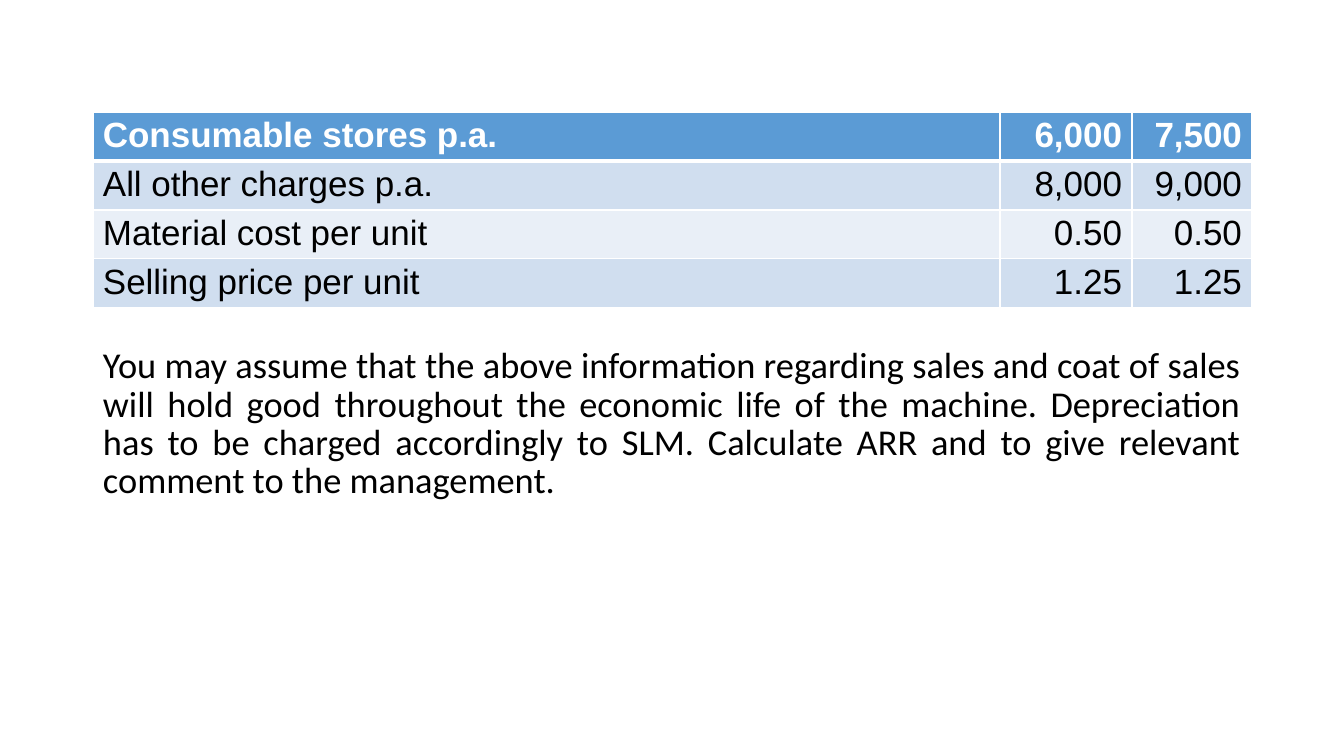
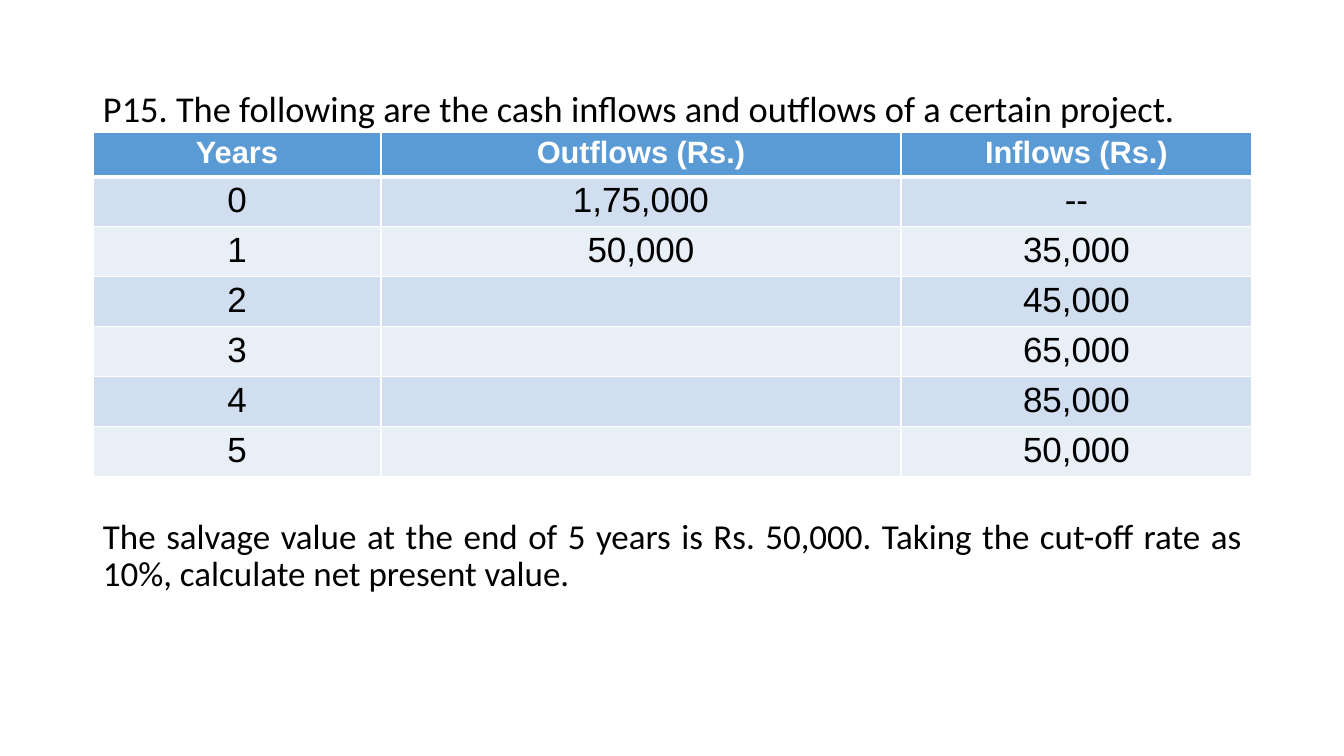
from dataclasses import dataclass

from lxml import etree
from pptx import Presentation, util as u
from pptx.dml.color import RGBColor
from pptx.enum import text as t
from pptx.oxml import ns

WIDE, HIGH = 1344, 756
SCALE = 12192000 / WIDE
LEFT, SPAN = 93, 1159
PAD, THIN = 10, 4
ALIGN = t.PP_ALIGN


@dataclass(frozen=True)
class Theme:
    """Colours, fonts and type sizes of the deck."""
    head: str = "5B9BD5"
    bands: tuple = ("D0DEEF", "E9EFF7")
    rule: str = "FFFFFF"
    light: str = "FFFFFF"
    ink: str = "000000"
    prose: str = "Calibri"
    grid: str = "Arial"
    body: int = 26
    note: int = 25
    cell: int = 25
    label: int = 22
    lead: float = 0.88


LOOK = Theme()


def px(num):
    """Turn pixels into EMU."""
    return u.Emu(round(num * SCALE))


def write(frame, words, size=LOOK.body, font=LOOK.prose, color=LOOK.ink,
          bold=False, align=ALIGN.LEFT, lead=None):
    """Put one formatted paragraph into a text frame."""
    para = frame.paragraphs[0]
    para.alignment = align
    if lead:
        para.line_spacing = lead
    para.font.size = u.Pt(size)
    if words:
        run = para.add_run()
        run.text = words
        run.font.size = u.Pt(size)
        run.font.name = font
        run.font.bold = bold
        run.font.color.rgb = RGBColor.from_string(color)


def prose(slide, box, words, size=LOOK.body):
    """Place a justified passage in a box."""
    frame = slide.shapes.add_textbox(*map(px, box)).text_frame
    frame.word_wrap = True
    frame.margin_left = frame.margin_right = px(PAD)
    frame.margin_top = frame.margin_bottom = px(5)
    write(frame, words, size=size, align=ALIGN.JUSTIFY, lead=LOOK.lead)


def edge(cell, base):
    """Rule the four sides of a cell, with its own base width."""
    props = cell._tc.get_or_add_tcPr()
    sides = (("lnL", 1), ("lnR", 1), ("lnT", 1), ("lnB", base))
    for spot, (side, width) in enumerate(sides):
        line = etree.Element(ns.qn("a:" + side), w=str(u.Pt(width)))
        fill = etree.SubElement(line, ns.qn("a:solidFill"))
        etree.SubElement(fill, ns.qn("a:srgbClr"), val=LOOK.rule)
        props.insert(spot, line)


def grid(slide, box, cols, rows, aligns, tall, size=LOOK.cell):
    """Place a banded table whose header has its own height and size."""
    left, top, wide, high = box
    table = slide.shapes.add_table(len(rows), len(cols), px(left), px(top),
                                   px(wide), px(high)).table
    table.horz_banding = False
    for col, width in zip(table.columns, cols):
        col.width = px(width)
    step = (high - tall) / (len(rows) - 1)
    for i, row in enumerate(rows):
        head = i == 0
        table.rows[i].height = px(tall if head else step)
        for j, words in enumerate(row):
            cell = table.cell(i, j)
            cell.margin_left = cell.margin_right = px(PAD)
            cell.margin_top = cell.margin_bottom = px(THIN)
            cell.fill.solid()
            shade = LOOK.head if head else LOOK.bands[(i - 1) % 2]
            cell.fill.fore_color.rgb = RGBColor.from_string(shade)
            edge(cell, 3 if head else 1)
            write(cell.text_frame, words, size=size if head else LOOK.cell,
                  font=LOOK.grid, color=LOOK.light if head else LOOK.ink,
                  bold=head, align=aligns[j])


def costs(slide):
    """Build the slide on running costs and the return task."""
    rows = [("Consumable stores p.a.", "6,000", "7,500"),
            ("All other charges p.a.", "8,000", "9,000"),
            ("Material cost per unit", "0.50", "0.50"),
            ("Selling price per unit", "1.25", "1.25")]
    grid(slide, (LEFT, 112, SPAN, 196), (907, 132, 120), rows,
         (ALIGN.LEFT, ALIGN.RIGHT, ALIGN.RIGHT), 49)
    prose(slide, (LEFT, 343, SPAN, 170),
          "You may assume that the above information regarding sales and "
          "coat of sales will hold good throughout the economic life of the "
          "machine. Depreciation has to be charged accordingly to SLM. "
          "Calculate ARR and to give relevant comment to the management.")


def flows(slide):
    """Build the slide on cash flows and the present value task."""
    outs = ("1,75,000", "50,000", "", "", "", "")
    ins = ("--", "35,000", "45,000", "65,000", "85,000", "50,000")
    rows = [("Years", "Outflows (Rs.)", "Inflows (Rs.)")]
    rows += [(str(year), *pair) for year, pair in enumerate(zip(outs, ins))]
    prose(slide, (LEFT, 87, SPAN, 50),
          "P15. The following are the cash inflows and outflows of a "
          "certain project.")
    grid(slide, (LEFT, 132, SPAN, 338), (288, 520, 351), rows,
         (ALIGN.CENTER,) * 3, 44, size=LOOK.label)
    prose(slide, (LEFT, 515, SPAN, 90),
          "The salvage value at the end of 5 years is Rs. 50,000. Taking the "
          "cut-off rate as 10%, calculate net present value.",
          size=LOOK.note)


def main():
    """Build and save the deck."""
    deck = Presentation()
    deck.slide_width, deck.slide_height = px(WIDE), px(HIGH)
    for build in (costs, flows):
        build(deck.slides.add_slide(deck.slide_layouts[6]))
    deck.save("out.pptx")


if __name__ == "__main__":
    main()
